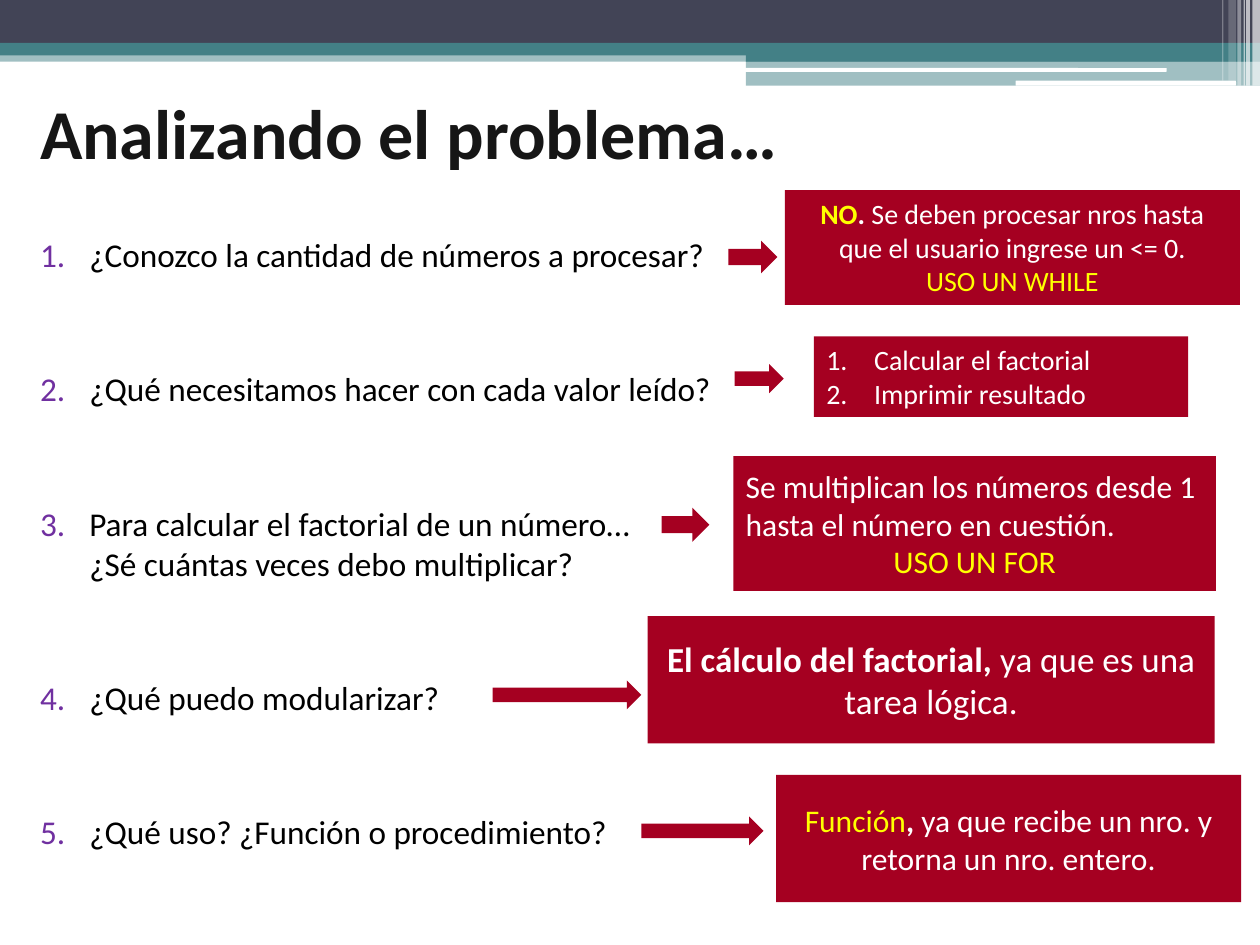
from dataclasses import dataclass
from lxml.etree import SubElement
from pptx import Presentation
from pptx.dml.color import RGBColor
from pptx.enum.shapes import MSO_SHAPE as Shape
from pptx.enum.text import MSO_ANCHOR as Anchor, PP_ALIGN as Align
from pptx.oxml.ns import qn
from pptx.util import Inches, Pt


@dataclass(frozen=True)
class Theme:
    font: str = "Calibri"
    navy: str = "424456"
    teal: str = "438086"
    white: str = "FFFFFF"
    black: str = "000000"
    title: str = "161616"
    number: str = "7030A0"
    answer: str = "A50021"
    key: str = "FFFF00"
    title_size: int = 40
    question_size: int = 19
    question_gap: int = 54
    small: int = 16
    medium: int = 18
    large: int = 20


THEME = Theme()
WIDTH, HEIGHT = Inches(10), Inches(7.5)
COLUMNS, ROWS = 100, 75


def place(column, row, columns, rows):
    """Turn grid columns and rows into a position and a size."""
    across, down = WIDTH / COLUMNS, HEIGHT / ROWS
    return [round(n) for n in (column * across, row * down,
                               columns * across, rows * down)]


def add_block(page, cell, color, kind=Shape.RECTANGLE, opacity=100):
    block = page.shapes.add_shape(kind, *place(*cell))
    block.shadow.inherit = False
    block.line.fill.background()
    block.fill.solid()
    block.fill.fore_color.rgb = RGBColor.from_string(color)
    if opacity < 100:
        fill = block.fill._xPr.find(qn("a:solidFill"))
        SubElement(fill[0], qn("a:alpha"), val=str(opacity * 1000))
    return block


def add_text_box(page, cell, anchor=Anchor.TOP):
    box = page.shapes.add_textbox(*place(*cell))
    box.text_frame.word_wrap = True
    box.text_frame.vertical_anchor = anchor
    return box.text_frame


def write(frame, paragraphs, size, align=Align.LEFT):
    """Each paragraph is a list of spans: (text, color, bold)."""
    for index, spans in enumerate(paragraphs):
        para = frame.add_paragraph() if index else frame.paragraphs[0]
        para.alignment = align
        for text, color, bold in spans:
            for line_index, line in enumerate(text.split("\n")):
                if line_index:
                    para.add_line_break()
                span = para.add_run()
                span.text = line
                span.font.name, span.font.size = THEME.font, Pt(size)
                span.font.bold = bold
                span.font.color.rgb = RGBColor.from_string(color)


def number_paragraphs(frame, indent, color=None):
    for para in frame.paragraphs:
        props = para._p.get_or_add_pPr()
        props.set("marL", str(Inches(indent)))
        props.set("indent", str(-Inches(indent)))
        if color:
            tint = SubElement(props, qn("a:buClr"))
            SubElement(tint, qn("a:srgbClr"), val=color)
        SubElement(props, qn("a:buFont"), typeface="+mj-lt")
        SubElement(props, qn("a:buAutoNum"), type="arabicPeriod")


def add_header(page):
    # Horizontal bands
    for cell, color, opacity in (
            ((0, 4, 100, 0.9), THEME.teal, 50),
            ((0, 0, 100, 3.4), THEME.navy, 100),
            ((0, 3.4, 100, 1), THEME.teal, 100),
            ((59.2, 3.9, 40.8, 1), THEME.teal, 100),
            ((59.2, 4.8, 40.8, 2), THEME.teal, 50)):
        add_block(page, cell, color, opacity=opacity)
    # White rules
    for cell in ((59.1, 5.4, 33.5, 0.3), (80.6, 6.4, 17.5, 0.4)):
        add_block(page, cell, THEME.white, Shape.ROUNDED_RECTANGLE)
    # Vertical stripes at the right edge
    for column, columns, rows, opacity in (
            (99.4, 0.6, 6.8, 65), (98.9, 0.3, 6.8, 65), (98.7, 0.1, 6.8, 60),
            (98.2, 0.3, 6.8, 40), (97.5, 0.6, 6.4, 20), (97, 0.1, 6.4, 30)):
        add_block(page, (column, 0, columns, rows), THEME.white, opacity=opacity)


def add_title(page, text):
    frame = add_text_box(page, (2.2, 4.8, 90, 11.2), Anchor.MIDDLE)
    write(frame, [[(text, THEME.title, True)]], THEME.title_size)


def add_questions(page, questions):
    frame = add_text_box(page, (2.2, 18.1, 55.9, 51.2))
    write(frame, [[(text, THEME.black, False)] for text in questions],
          THEME.question_size)
    for para in frame.paragraphs:
        para.space_before = Pt(THEME.question_gap)
    number_paragraphs(frame, 0.39, THEME.number)


def add_answer(page, arrow, cell, paragraphs, size,
               align=Align.CENTER, anchor=Anchor.MIDDLE):
    add_block(page, arrow, THEME.answer, Shape.RIGHT_ARROW)
    frame = add_block(page, cell, THEME.answer).text_frame
    frame.word_wrap = True
    frame.vertical_anchor = anchor
    write(frame, paragraphs, size, align)
    return frame


def add_answers(page):
    white, key = THEME.white, THEME.key
    # Which loop reads the numbers
    add_answer(page, (57.8, 19.1, 3.9, 2.6), (62.3, 15.1, 36.1, 9.1), [
        [("NO", key, True), (". ", white, True),
         ("Se deben procesar nros hasta que el usuario ingrese un <= 0.",
          white, False)],
        [("USO UN WHILE", key, False)]], THEME.small, anchor=Anchor.TOP)
    # Steps for each value
    steps = add_answer(page, (58.3, 28.9, 3.9, 2.3), (64.6, 26.7, 29.7, 6.4), [
        [("Calcular el factorial", white, False)],
        [("Imprimir resultado", white, False)]],
        THEME.small, Align.LEFT, Anchor.TOP)
    number_paragraphs(steps, 0.38)
    # Which loop multiplies
    factorial = add_answer(page, (52.5, 40.3, 3.8, 2.7), (58.2, 36.2, 38.3, 10.7), [
        [("Se multiplican los números desde 1 hasta el número en cuestión.",
          white, False)],
        [("USO UN FOR", key, False)]], THEME.medium, Align.LEFT)
    factorial.paragraphs[-1].alignment = Align.CENTER
    # What becomes a module
    add_answer(page, (39.1, 54, 11.8, 2.3), (51.4, 48.9, 45, 10.1), [
        [("El cálculo del factorial, ", white, True),
         ("ya que es una tarea lógica.", white, False)]], THEME.large)
    # Function or procedure
    add_answer(page, (50.9, 64.8, 9.7, 2.3), (61.6, 61.5, 36.9, 10.1), [
        [("Función", key, False), (", ", white, True),
         ("ya que recibe un nro. y retorna un nro. entero.", white, False)]],
        THEME.medium)


def main():
    deck = Presentation()
    deck.slide_width, deck.slide_height = WIDTH, HEIGHT
    page = deck.slides.add_slide(deck.slide_layouts[6])
    add_header(page)
    add_title(page, "Analizando el problema…")
    add_questions(page, [
        "¿Conozco la cantidad de números a procesar?",
        "¿Qué necesitamos hacer con cada valor leído?",
        "Para calcular el factorial de un número…\n"
        "¿Sé cuántas veces debo multiplicar?",
        "¿Qué puedo modularizar?",
        "¿Qué uso? ¿Función o procedimiento?"])
    add_answers(page)
    deck.save("out.pptx")


main()
